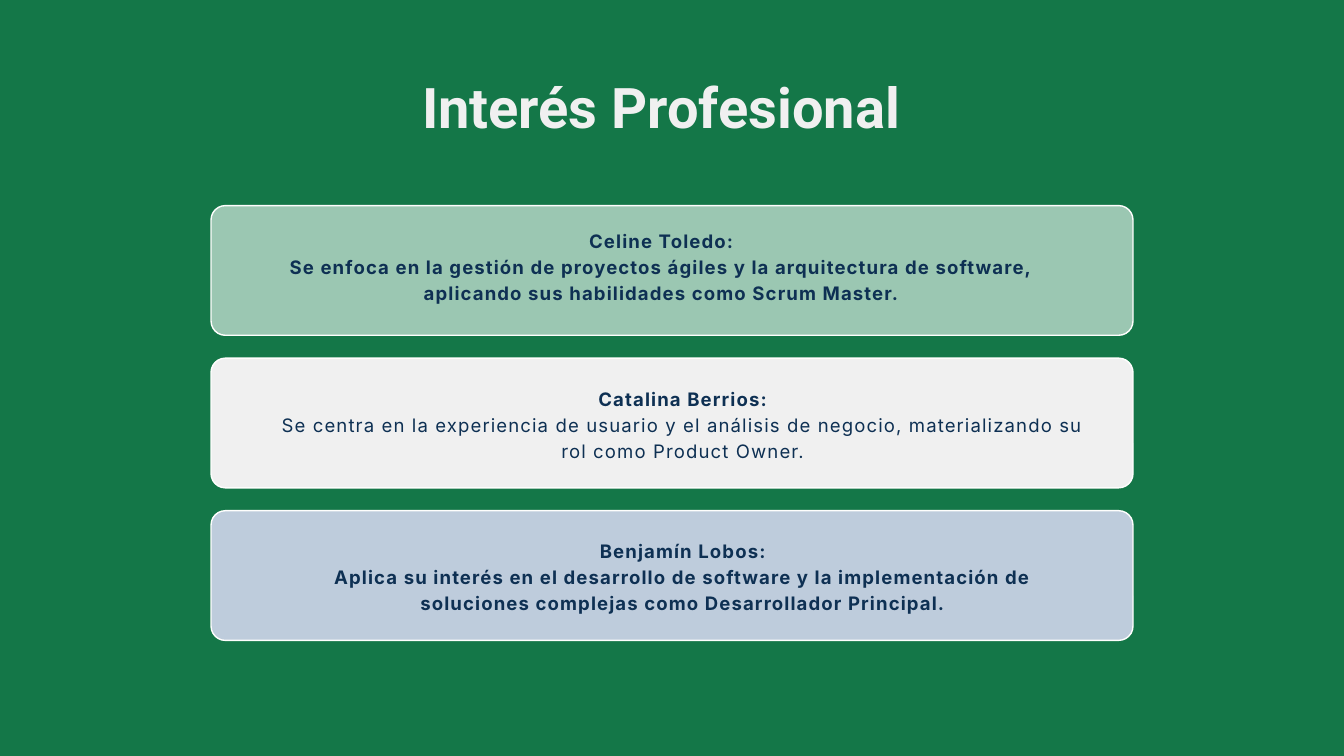
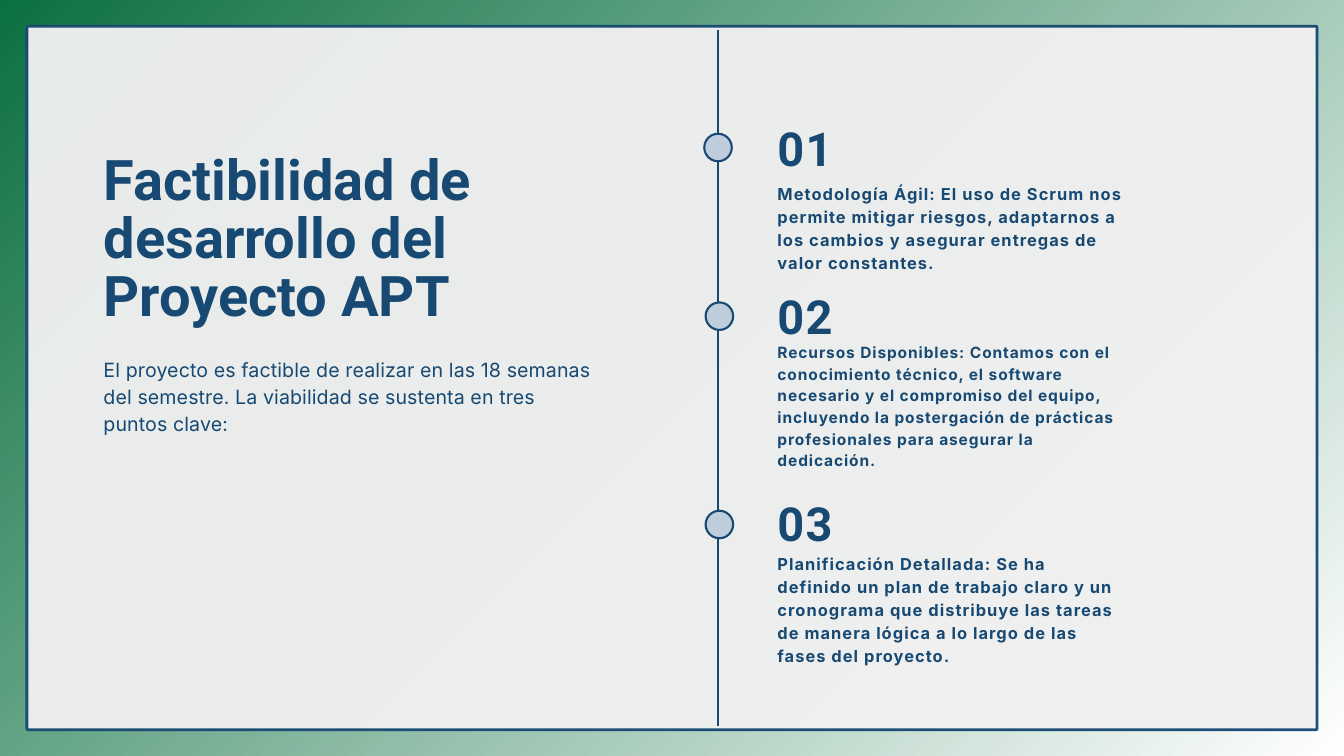
from lxml import etree
from pptx import Presentation
from pptx.dml.color import RGBColor
from pptx.enum.shapes import MSO_CONNECTOR, MSO_SHAPE
from pptx.enum.text import MSO_ANCHOR, PP_ALIGN
from pptx.oxml.ns import qn
from pptx.util import Inches, Pt

# Shared colours and fonts
GREEN = RGBColor(0x14, 0x77, 0x48)
DEEP_GREEN = RGBColor(0x0C, 0x70, 0x40)
MINT = RGBColor(0x9B, 0xC7, 0xB2)
PALE = RGBColor(0xF0, 0xF0, 0xF0)
MIST = RGBColor(0xBE, 0xCC, 0xDC)
WHITE = RGBColor(0xFF, 0xFF, 0xFF)
OFF_WHITE = RGBColor(0xFE, 0xFE, 0xFD)
NAVY = RGBColor(0x0E, 0x30, 0x53)
BLUE = RGBColor(0x17, 0x49, 0x73)
HEAD, BODY = "Roboto", "Inter"
TITLE = dict(font=HEAD, size=60, leading=62.4, bold=True)


def add_text(s, box, lines, font, size, leading, color, bold=False,
             spacing=0, align=PP_ALIGN.LEFT):
    """Write one paragraph per line and return the text frame."""
    tf = s.shapes.add_textbox(*map(Inches, box)).text_frame
    tf.word_wrap = True
    tf.vertical_anchor = MSO_ANCHOR.TOP
    tf.margin_left = tf.margin_right = tf.margin_top = tf.margin_bottom = 0
    tf.text = "\n".join(lines)
    for p in tf.paragraphs:
        p.alignment = align
        p.line_spacing = Pt(leading)
        for r in p.runs:
            r.font.name = font
            r.font.size = Pt(size)
            r.font.bold = bold
            r.font.color.rgb = color
            if spacing:
                r.font._element.set("spc", str(round(spacing * 100)))
    return tf


def add_box(s, kind, box, fill, line, width):
    """Draw a filled and outlined preset shape."""
    sp = s.shapes.add_shape(kind, *map(Inches, box))
    sp.shadow.inherit = False
    sp.fill.solid()
    sp.fill.fore_color.rgb = fill
    sp.line.color.rgb = line
    sp.line.width = Pt(width)
    return sp


prs = Presentation()
prs.slide_width, prs.slide_height = Inches(20), Inches(11.25)
blank = prs.slide_layouts[6]

# Slide 1: professional interests
s = prs.slides.add_slide(blank)
s.background.fill.solid()
s.background.fill.fore_color.rgb = GREEN
add_text(s, (4.76, 1.21, 10.16, 0.91), ["Interés Profesional"],
         color=PALE, align=PP_ALIGN.CENTER, **TITLE)

# Member cards: fill, text left, text offset from card top, bold text, name, interest
members = [
    (MINT, 3.85, 0.3, True, "Celine Toledo:",
     "Se enfoca en la gestión de proyectos ágiles y la arquitectura de software, "
     "aplicando sus habilidades como Scrum Master."),
    (PALE, 4.17, 0.38, False, "Catalina Berrios:",
     "Se centra en la experiencia de usuario y el análisis de negocio, "
     "materializando su rol como Product Owner."),
    (MIST, 4.17, 0.38, True, "Benjamín Lobos:",
     "Aplica su interés en el desarrollo de software y la implementación de "
     "soluciones complejas como Desarrollador Principal."),
]
for i, (fill, left, offset, bold, name, interest) in enumerate(members):
    top = 3.06 + 2.27 * i
    card = add_box(s, MSO_SHAPE.ROUNDED_RECTANGLE, (3.14, top, 13.72, 1.93),
                   fill, OFF_WHITE, 1.5)
    card.adjustments[0] = 0.11
    tf = add_text(s, (left, top + offset, 11.98, 1.14), [name, interest], BODY,
                  19.9, 27.9, NAVY, True, 1.2, PP_ALIGN.CENTER)
    tf.paragraphs[1].runs[0].font.bold = bold

# Slide 2: feasibility
s = prs.slides.add_slide(blank)
fill = s.background.fill
fill.gradient()
fill.gradient_angle = 315
for stop, color, position in zip(fill.gradient_stops, (DEEP_GREEN, WHITE), (0, 1)):
    stop.color.rgb = color
    stop.position = position

# Translucent panel
panel = add_box(s, MSO_SHAPE.ROUNDED_RECTANGLE, (0.4, 0.39, 19.2, 10.47), PALE, BLUE, 3)
panel.adjustments[0] = 0.002
for color in panel._element.spPr.iter(qn("a:srgbClr")):
    etree.SubElement(color, qn("a:alpha")).set("val", "96000")

# Title and introduction
add_text(s, (1.54, 2.28, 6.82, 2.64), ["Factibilidad de desarrollo del Proyecto APT"],
         color=BLUE, **TITLE)
add_text(s, (1.54, 5.27, 7.4, 1.17),
         ["El proyecto es factible de realizar en las 18 semanas del semestre. "
          "La viabilidad se sustenta en tres puntos clave:"],
         BODY, 21, 29.2, BLUE, spacing=0.1)

# Timeline
axis = s.shapes.add_connector(MSO_CONNECTOR.STRAIGHT, Inches(10.69), Inches(10.81),
                              Inches(10.69), Inches(0.44))
axis.line.color.rgb = BLUE
axis.line.width = Pt(2.25)
etree.SubElement(axis._element.spPr, qn("a:effectLst"))

# Key points: dot left and top, number top, text top and height, size, leading, spacing
points = [
    (10.48, 1.99, 1.78, 2.69, 1.66, 17.6, 24.6, 1.1,
     "Metodología Ágil: El uso de Scrum nos permite mitigar riesgos, adaptarnos "
     "a los cambios y asegurar entregas de valor constantes."),
    (10.5, 4.5, 4.28, 5.06, 1.92, 16.6, 23.2, 1,
     "Recursos Disponibles: Contamos con el conocimiento técnico, el software "
     "necesario y el compromiso del equipo, incluyendo la postergación de prácticas "
     "profesionales para asegurar la dedicación."),
    (10.5, 7.6, 7.36, 8.2, 1.66, 17.6, 24.6, 1.1,
     "Planificación Detallada: Se ha definido un plan de trabajo claro y un "
     "cronograma que distribuye las tareas de manera lógica a lo largo de las "
     "fases del proyecto."),
]
for n, (dot_left, dot_top, number_top, top, height, size, leading, spacing,
        text) in enumerate(points, 1):
    add_box(s, MSO_SHAPE.OVAL, (dot_left, dot_top, 0.41, 0.41), MIST, BLUE, 2.25)
    add_text(s, (11.57, number_top, 5.17, 0.83), [f"{n:02}"], HEAD, 50.3, 59.9,
             BLUE, True, 1.4)
    add_text(s, (11.57, top, 5.17, height), [text], BODY, size, leading,
             BLUE, True, spacing)

prs.save("out.pptx")
